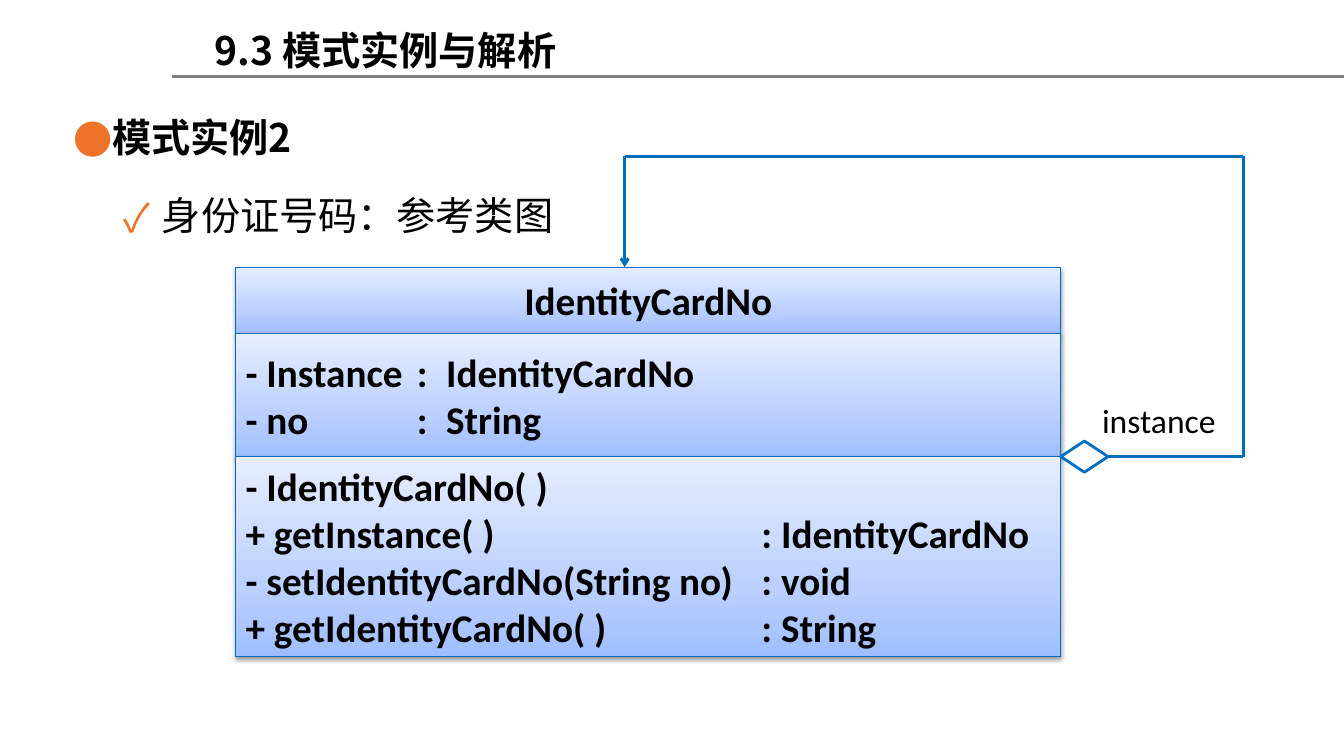
from dataclasses import dataclass
from copy import deepcopy

from lxml.etree import SubElement
from pptx import Presentation
from pptx.dml.color import RGBColor
from pptx.enum.shapes import MSO_CONNECTOR, MSO_SHAPE
from pptx.enum.text import MSO_ANCHOR, MSO_AUTO_SIZE, PP_ALIGN
from pptx.oxml.ns import qn
from pptx.util import Emu, Inches, Pt

BLACK = RGBColor(0x00, 0x00, 0x00)
WHITE = RGBColor(0xFF, 0xFF, 0xFF)
GRAY = RGBColor(0x80, 0x80, 0x80)
BLUE = RGBColor(0x00, 0x6E, 0xBC)
DIAMOND_BLUE = RGBColor(0x00, 0x70, 0xC0)
ORANGE = RGBColor(0xEC, 0x73, 0x28)
GRADIENT = (
    (0, RGBColor(0xA0, 0xBE, 0xFF)),
    (0.35, RGBColor(0xBC, 0xD0, 0xFF)),
    (1, RGBColor(0xE5, 0xED, 0xFF)),
)
LATIN, CJK = "Calibri", "Noto Sans CJK SC"
WIDTH, HEIGHT = Inches(13.34), Inches(7.5)
CLASS_LEFT, CLASS_TOP, CLASS_WIDTH = 17.54, 35.33, 61.39
LOOP_LEFT, LOOP_RIGHT, LOOP_TOP, PORT = 46.48, 92.5, 20.67, 60.4
DIAMOND_WIDTH, DIAMOND_HEIGHT = 3.52, 4.13


@dataclass(frozen=True)
class Compartment:
    """One band of the class box; height is a percentage of the slide."""
    height: float
    lines: tuple[str, ...]
    align: PP_ALIGN = PP_ALIGN.LEFT
    tabs: tuple[float, ...] = ()


@dataclass(frozen=True)
class Edge:
    """A straight line between two points given in slide percentages."""
    start: tuple[float, float]
    end: tuple[float, float]
    color: RGBColor = BLUE
    arrow: bool = False


@dataclass(frozen=True)
class Bullet:
    """A bulleted line; margin and hang are in inches."""
    text: str
    mark: str
    margin: float
    hang: float
    spacing: float
    before: int
    bold: bool


COMPARTMENTS = (
    Compartment(8.8, ("IdentityCardNo",), PP_ALIGN.CENTER),
    Compartment(
        16.27,
        ("- Instance\t:\tIdentityCardNo", "- no\t:\tString"),
        tabs=(1.7, 1.99),
    ),
    Compartment(
        26.4,
        (
            "- IdentityCardNo( )",
            "+ getInstance( )\t: IdentityCardNo",
            "- setIdentityCardNo(String no)\t: void",
            "+ getIdentityCardNo( )\t: String",
        ),
        tabs=(5.12,),
    ),
)
EDGES = (
    Edge((12.82, 10.13), (100, 10.13), GRAY),
    Edge((LOOP_LEFT, LOOP_TOP), (LOOP_LEFT, CLASS_TOP), arrow=True),
    Edge((LOOP_LEFT, LOOP_TOP), (LOOP_RIGHT, LOOP_TOP)),
    Edge((LOOP_RIGHT, LOOP_TOP), (LOOP_RIGHT, PORT)),
    Edge((CLASS_LEFT + CLASS_WIDTH + DIAMOND_WIDTH, PORT), (LOOP_RIGHT, PORT)),
)
BULLETS = (
    Bullet("模式实例2", "●", 0.31, 0.31, 0.9, 0, True),
    Bullet("身份证号码：参考类图", "✓", 0.88, 0.38, 1.5, 5, False),
)


def px(share: float) -> Emu:
    """Turn a percentage of the slide width into a length."""
    return Emu(round(WIDTH * share / 100))


def py(share: float) -> Emu:
    """Turn a percentage of the slide height into a length."""
    return Emu(round(HEIGHT * share / 100))


def box(x: float, y: float, w: float, h: float) -> tuple[Emu, Emu, Emu, Emu]:
    """Turn slide percentages into left, top, width and height."""
    return px(x), py(y), px(w), py(h)


def style(p, font: str, size: int = 28, bold: bool = False) -> None:
    """Format every run of a paragraph."""
    for r in p.runs:
        r.font.name, r.font.size, r.font.bold = font, Pt(size), bold
        r.font.color.rgb = BLACK
        SubElement(r.font._element, qn("a:ea"), typeface=font)


def draw_title(s, text: str) -> None:
    """Place and format the title placeholder."""
    sp = s.shapes.title
    sp.left, sp.top, sp.width, sp.height = box(15.22, 2.8, 56.67, 7.6)
    tf = sp.text_frame
    tf.text = text
    tf.auto_size = MSO_AUTO_SIZE.NONE
    tf.vertical_anchor = MSO_ANCHOR.MIDDLE
    tf.paragraphs[0].alignment = PP_ALIGN.LEFT
    style(tf.paragraphs[0], CJK, bold=True)


def draw_bullets(s, bullets: tuple[Bullet, ...]) -> None:
    """Write the bulleted lines under the title."""
    tf = s.shapes.add_textbox(*box(4.72, 15.07, 91.38, 17.07)).text_frame
    tf.word_wrap = True
    tf.text = "\n".join(b.text for b in bullets)
    for p, b in zip(tf.paragraphs, bullets):
        p.line_spacing, p.space_before = b.spacing, Pt(b.before)
        pPr = p._p.get_or_add_pPr()
        pPr.set("marL", str(Inches(b.margin)))
        pPr.set("indent", str(Inches(-b.hang)))
        color = SubElement(pPr, qn("a:buClr"))
        SubElement(color, qn("a:srgbClr"), val=str(ORANGE))
        SubElement(pPr, qn("a:buFont"), typeface=CJK)
        SubElement(pPr, qn("a:buChar"), char=b.mark)
        style(p, CJK, bold=b.bold)


def add_shade(sp) -> None:
    """Give a shape the three-stop gradient and a soft drop shadow."""
    sp.fill.gradient()
    sp.fill.gradient_angle = 90
    stops = sp._element.spPr.find(qn("a:gradFill")).find(qn("a:gsLst"))
    stops.insert(1, deepcopy(stops[0]))
    for stop, (position, color) in zip(sp.fill.gradient_stops, GRADIENT):
        stop.position, stop.color.rgb = position, color
    sp.shadow.inherit = False
    effects = sp._element.spPr.find(qn("a:effectLst"))
    shadow = SubElement(effects, qn("a:outerShdw"), blurRad=str(Pt(3.1)),
                        dist=str(Pt(1.6)), dir="5400000", rotWithShape="0")
    color = SubElement(shadow, qn("a:srgbClr"), val=str(BLACK))
    SubElement(color, qn("a:alpha"), val="38000")


def draw_class(s, compartments: tuple[Compartment, ...]) -> None:
    """Stack the compartments of the class box."""
    top = CLASS_TOP
    for c in compartments:
        sp = s.shapes.add_shape(
            MSO_SHAPE.RECTANGLE, *box(CLASS_LEFT, top, CLASS_WIDTH, c.height))
        add_shade(sp)
        sp.line.color.rgb, sp.line.width = BLUE, Pt(0.75)
        tf = sp.text_frame
        tf.vertical_anchor = MSO_ANCHOR.MIDDLE
        tf.text = "\n".join(c.lines)
        for p in tf.paragraphs:
            p.alignment = c.align
            if c.tabs:
                tabs = SubElement(p._p.get_or_add_pPr(), qn("a:tabLst"))
                for tab in c.tabs:
                    SubElement(tabs, qn("a:tab"), pos=str(Inches(tab)), algn="l")
            style(p, LATIN, bold=True)
        top += c.height


def draw_edge(s, e: Edge) -> None:
    """Draw one line, with an arrowhead if asked."""
    cx = s.shapes.add_connector(MSO_CONNECTOR.STRAIGHT, px(e.start[0]),
                                py(e.start[1]), px(e.end[0]), py(e.end[1]))
    cx.line.color.rgb, cx.line.width = e.color, Pt(2)
    if e.arrow:
        SubElement(cx.line._get_or_add_ln(), qn("a:tailEnd"), type="arrow")
    SubElement(cx._element.spPr, qn("a:effectLst"))


def draw_aggregation(s, label: str) -> None:
    """Draw the diamond at the class edge and the role name above it."""
    sp = s.shapes.add_shape(MSO_SHAPE.DIAMOND, *box(
        CLASS_LEFT + CLASS_WIDTH, PORT - DIAMOND_HEIGHT / 2,
        DIAMOND_WIDTH, DIAMOND_HEIGHT))
    sp.shadow.inherit = False
    sp.fill.solid()
    sp.fill.fore_color.rgb = WHITE
    sp.line.color.rgb, sp.line.width = DIAMOND_BLUE, Pt(2)
    tf = s.shapes.add_textbox(*box(81.26, 52.27, 10.64, 6.67)).text_frame
    tf.word_wrap = True
    tf.text = label
    style(tf.paragraphs[0], LATIN, 24)


def main() -> None:
    """Build the slide and save it."""
    prs = Presentation()
    prs.slide_width, prs.slide_height = WIDTH, HEIGHT
    s = prs.slides.add_slide(prs.slide_layouts[5])
    draw_title(s, "9.3 模式实例与解析")
    draw_bullets(s, BULLETS)
    draw_class(s, COMPARTMENTS)
    for e in EDGES:
        draw_edge(s, e)
    draw_aggregation(s, "instance")
    prs.save("out.pptx")


if __name__ == "__main__":
    main()
